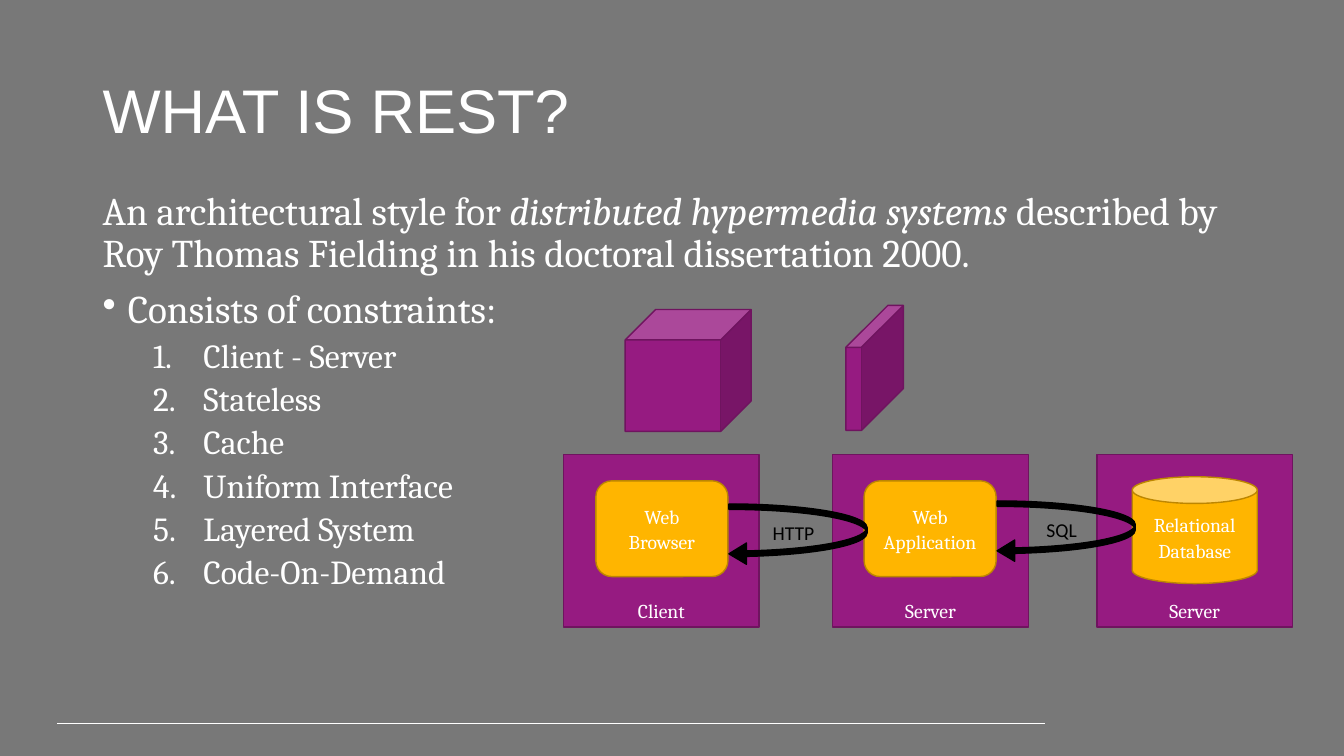
from lxml.etree import SubElement
from pptx import Presentation
from pptx.dml.color import RGBColor
from pptx.enum.shapes import MSO_CONNECTOR as Connector, MSO_SHAPE as Shape
from pptx.enum.text import MSO_ANCHOR as Anchor, PP_ALIGN as Align
from pptx.oxml.ns import qn
from pptx.util import Inches, Pt

WHITE = RGBColor(0xFF, 0xFF, 0xFF)
BLACK = RGBColor(0x00, 0x00, 0x00)
GRAY = RGBColor(0x78, 0x78, 0x78)
PURPLE = RGBColor(0x96, 0x1B, 0x81)
DARK_PURPLE = RGBColor(0x6F, 0x14, 0x5F)
ORANGE = RGBColor(0xFF, 0xB5, 0x00)
DARK_ORANGE = RGBColor(0xBD, 0x86, 0x00)

CONSTRAINTS = ["Client - Server", "Stateless", "Cache", "Uniform Interface",
               "Layered System", "Code-On-Demand"]
HOSTS = [("Client", 5.59), ("Server", 8.26), ("Server", 10.88)]
PARTS = [
    (Shape.CAN, "Relational\nDatabase", (11.23, 4.73, 1.24, 1.06)),
    (Shape.ROUNDED_RECTANGLE, "Web Application", (8.57, 4.77, 1.31, 0.95)),
    (Shape.ROUNDED_RECTANGLE, "Web Browser", (5.91, 4.77, 1.31, 0.95)),
]
LABELS = [("HTTP", 7.51, 5.1), ("SQL", 10.17, 5.07)]
ARROWS = [(7.23, 5), (9.89, 4.97)]


def write(para, text, size=14, font="Cambria", color=WHITE, italic=False):
    for index, line in enumerate(text.split("\n")):
        if index:
            para.add_line_break()
        span = para.add_run()
        span.text = line
        span.font.size = Pt(size)
        span.font.name = font
        span.font.color.rgb = color
        span.font.italic = italic


class SlideBuilder:
    def __init__(self, page, background):
        self.page = page
        self.page.background.fill.solid()
        self.page.background.fill.fore_color.rgb = background

    def text_box(self, at, anchor=Anchor.TOP):
        box = self.page.shapes.add_textbox(*map(Inches, at))
        box.text_frame.word_wrap = True
        box.text_frame.vertical_anchor = anchor
        return box.text_frame

    def centered(self, frame, text, **style):
        para = frame.paragraphs[0]
        para.alignment = Align.CENTER
        para.line_spacing = 1.07
        write(para, text, **style)

    def item(self, frame, before=10, level=0, margin=0, hanging=0, bullet=None, **marker):
        para = frame.add_paragraph() if frame.paragraphs[0].runs else frame.paragraphs[0]
        para.level = level
        para.line_spacing = 0.9
        para.space_before = Pt(before)
        if bullet:
            props = para._p.get_or_add_pPr()
            props.set("marL", str(Inches(margin)))
            props.set("indent", str(-Inches(hanging)))
            SubElement(props, qn(bullet), marker)
        return para

    def shape(self, kind, at, fill, outline, text="", anchor=Anchor.MIDDLE, adjustments=()):
        shape = self.page.shapes.add_shape(kind, *map(Inches, at))
        shape.shadow.inherit = False
        shape.fill.solid()
        shape.fill.fore_color.rgb = fill
        shape.line.color.rgb = outline
        shape.line.width = Pt(1)
        for index, value in enumerate(adjustments):
            shape.adjustments[index] = value
        if text:
            shape.text_frame.word_wrap = True
            shape.text_frame.vertical_anchor = anchor
            self.centered(shape.text_frame, text)

    def rule(self, left, right, top):
        ends = map(Inches, (left, top, right, top))
        line = self.page.shapes.add_connector(Connector.STRAIGHT, *ends)
        line.line.color.rgb = WHITE
        line.line.width = Pt(0.75)
        SubElement(line._element.spPr, qn("a:effectLst"))


def main():
    deck = Presentation()
    deck.slide_width, deck.slide_height = Inches(13.33), Inches(7.5)
    slide = SlideBuilder(deck.slides.add_slide(deck.slide_layouts[6]), GRAY)

    slide.rule(0.57, 10.36, 7.18)
    title = slide.text_box((0.92, 0.4, 11.5, 1.45), Anchor.MIDDLE)
    write(slide.item(title, before=0), "WHAT IS REST?", size=44, font="Arial")

    body = slide.text_box((0.92, 1.85, 11.5, 4.54))
    intro = slide.item(body)
    write(intro, "An architectural style for ", size=28)
    write(intro, "distributed hypermedia systems", size=28, italic=True)
    write(intro, " described by Roy Thomas Fielding in his doctoral dissertation 2000.", size=28)
    heading = slide.item(body, margin=0.25, hanging=0.25, bullet="a:buChar", char="•")
    write(heading, "Consists of constraints:", size=28)
    for constraint in CONSTRAINTS:
        para = slide.item(body, before=5, level=1, margin=1, hanging=0.5,
                          bullet="a:buAutoNum", type="arabicPeriod")
        write(para, constraint, size=24)

    slide.shape(Shape.CUBE, (6.2, 3.07, 1.25, 1.21), PURPLE, DARK_PURPLE)
    slide.shape(Shape.CUBE, (8.39, 3.03, 0.57, 1.24), PURPLE, DARK_PURPLE, adjustments=[0.73])
    for name, left in HOSTS:
        slide.shape(Shape.RECTANGLE, (left, 4.51, 1.94, 1.71), PURPLE, DARK_PURPLE,
                    name, Anchor.BOTTOM)
    for kind, name, at in PARTS:
        slide.shape(kind, at, ORANGE, DARK_ORANGE, name)
    for protocol, left, top in LABELS:
        label = slide.text_box((left, top, 0.72, 0.4))
        slide.centered(label, protocol, font="Calibri", color=BLACK)
    for left, top in ARROWS:
        slide.shape(Shape.CURVED_LEFT_ARROW, (left, top, 1.37, 0.6), BLACK, BLACK,
                    adjustments=[0.09, 0.35, 0.29])

    deck.save("out.pptx")


if __name__ == "__main__":
    main()
